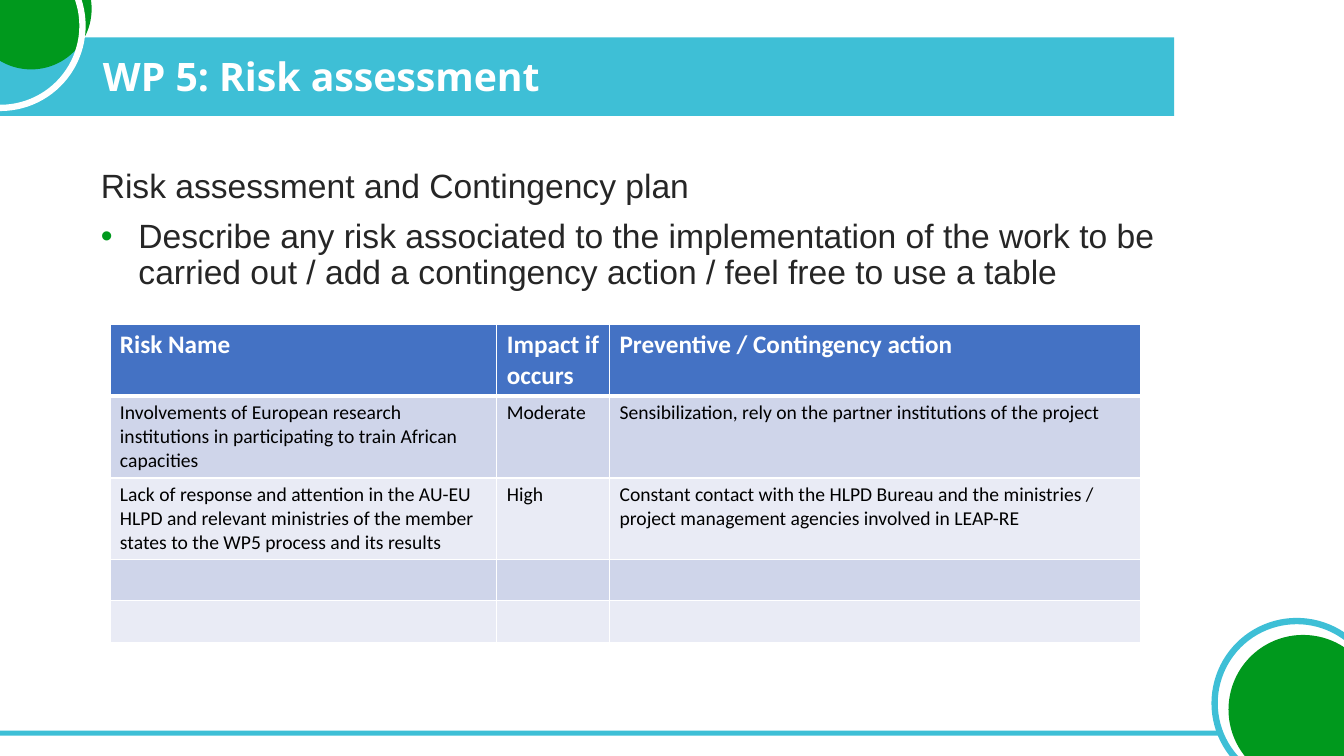
import dataclasses

import lxml.etree
import pptx
import pptx.dml.color
import pptx.enum.shapes
import pptx.enum.text
import pptx.oxml.ns
import pptx.util

Cm, Pt = pptx.util.Cm, pptx.util.Pt
qn = pptx.oxml.ns.qn
Shape = pptx.enum.shapes.MSO_SHAPE


@dataclasses.dataclass(frozen=True)
class Theme:
    teal: str = "3EBFD6"
    green: str = "00991D"
    white: str = "FFFFFF"
    body_text: str = "262626"
    cell_text: str = "000000"
    header_fill: str = "4472C4"
    bands: tuple = ("CFD5EA", "E9EBF5")
    title_size: int = 28
    body_size: int = 24
    header_size: int = 18
    cell_size: int = 14
    ring_width: float = 4.5


THEME = Theme()

RISKS = [
    ("Risk Name", "Impact if occurs", "Preventive / Contingency action"),
    ("Involvements of European research institutions in participating to train African capacities",
     "Moderate",
     "Sensibilization, rely on the partner institutions of the project"),
    ("Lack of response and attention in the AU-EU HLPD and relevant ministries of the member "
     "states to the WP5 process and its results",
     "High",
     "Constant contact with the HLPD Bureau and the ministries / project management agencies "
     "involved in LEAP-RE"),
    ("", "", ""),
    ("", "", ""),
]
COLUMN_WIDTHS = (9.75, 2.84, 13.39)
ROW_HEIGHT = 1.04


def rgb(colour):
    return pptx.dml.color.RGBColor.from_string(colour)


def style_runs(paragraph, font, size, colour, bold=False):
    for run in paragraph.runs:
        run.font.name = font
        run.font.size = Pt(size)
        run.font.bold = bold
        run.font.color.rgb = rgb(colour)


def add_decoration(slide, kind, left, top, width, height, fill=None, outline=None):
    decoration = slide.shapes.add_shape(kind, Cm(left), Cm(top), Cm(width), Cm(height))
    decoration.shadow.inherit = False
    if fill:
        decoration.fill.solid()
        decoration.fill.fore_color.rgb = rgb(fill)
    else:
        decoration.fill.background()
    if outline:
        decoration.line.color.rgb = rgb(outline)
        decoration.line.width = Pt(THEME.ring_width)
    else:
        decoration.line.fill.background()


def add_circle(slide, left, top, diameter, **colours):
    add_decoration(slide, Shape.OVAL, left, top, diameter, diameter, **colours)


def set_title(slide, text):
    title = slide.shapes.title
    title.left, title.top, title.width, title.height = Cm(2.34), Cm(1.27), Cm(26.87), Cm(1.42)
    title.text_frame.text = text
    title.text_frame.vertical_anchor = pptx.enum.text.MSO_ANCHOR.MIDDLE
    heading = title.text_frame.paragraphs[0]
    heading.alignment = pptx.enum.text.PP_ALIGN.LEFT
    heading.line_spacing = 0.9
    style_runs(heading, "Open Sans", THEME.title_size, THEME.white, bold=True)
    # Bring the title in front of the bar
    slide.shapes._spTree.append(title._element)


def add_bullet(paragraph, colour):
    properties = paragraph._p.get_or_add_pPr()
    properties.set("marL", str(Cm(0.95)))
    properties.set("indent", str(-Cm(0.95)))
    bullet_colour = lxml.etree.SubElement(properties, qn("a:buClr"))
    lxml.etree.SubElement(bullet_colour, qn("a:srgbClr"), val=colour)
    lxml.etree.SubElement(properties, qn("a:buFont"), typeface="Arial")
    lxml.etree.SubElement(properties, qn("a:buChar"), char="•")


def add_body(slide, intro, instruction):
    body = slide.shapes.add_textbox(Cm(2.29), Cm(4.14), Cm(28.68), Cm(12.09)).text_frame
    body.word_wrap = True
    body.text = intro
    body.add_paragraph().text = instruction
    for paragraph in body.paragraphs:
        paragraph.line_spacing = 0.9
        paragraph.space_before = Pt(10)
        style_runs(paragraph, "Arial", THEME.body_size, THEME.body_text)
    add_bullet(body.paragraphs[1], THEME.green)


def set_borders(cell, top, bottom):
    properties = cell._tc.get_or_add_tcPr()
    for side, width in (("L", 1), ("R", 1), ("T", top), ("B", bottom)):
        border = lxml.etree.SubElement(properties, qn(f"a:ln{side}"), w=str(Pt(width)))
        border_fill = lxml.etree.SubElement(border, qn("a:solidFill"))
        lxml.etree.SubElement(border_fill, qn("a:srgbClr"), val=THEME.white)


def add_risk_table(slide, rows):
    table = slide.shapes.add_table(
        len(rows), len(COLUMN_WIDTHS), Cm(2.77), Cm(8.18),
        Cm(sum(COLUMN_WIDTHS)), Cm(ROW_HEIGHT * len(rows))).table
    for column, width in zip(table.columns, COLUMN_WIDTHS):
        column.width = Cm(width)
    for row_number, texts in enumerate(rows):
        is_header = row_number == 0
        table.rows[row_number].height = Cm(ROW_HEIGHT)
        for column_number, text in enumerate(texts):
            cell = table.cell(row_number, column_number)
            set_borders(cell, top=3 if row_number == 1 else 1, bottom=3 if is_header else 1)
            cell.fill.solid()
            cell.fill.fore_color.rgb = rgb(
                THEME.header_fill if is_header else THEME.bands[(row_number - 1) % 2])
            if text:
                cell.text_frame.text = text
                style_runs(cell.text_frame.paragraphs[0], "Calibri",
                           THEME.header_size if is_header else THEME.cell_size,
                           THEME.white if is_header else THEME.cell_text, bold=is_header)


def main():
    presentation = pptx.Presentation()
    presentation.slide_width, presentation.slide_height = Cm(33.87), Cm(19.05)
    slide = presentation.slides.add_slide(presentation.slide_layouts[5])

    # Title bar and footer line
    add_decoration(slide, Shape.RECTANGLE, 0, 0.94, 29.59, 1.98, fill=THEME.teal)
    add_decoration(slide, Shape.RECTANGLE, 0, 18.41, 30.78, 0.13, fill=THEME.teal)

    # Corner circles
    add_circle(slide, 30.61, 15.65, 4.14, outline=THEME.teal)
    add_circle(slide, 30.96, 16, 3.76, fill=THEME.green)
    add_circle(slide, -0.74, -1.3, 3.05, fill=THEME.green)
    add_circle(slide, -2.06, -1.42, 4.14, outline=THEME.white)

    # Content
    add_body(slide, "Risk assessment and Contingency plan",
             "Describe any risk associated to the implementation of the work to be carried out "
             "/ add a contingency action / feel free to use a table")
    set_title(slide, "WP 5: Risk assessment")
    add_risk_table(slide, RISKS)

    presentation.save("out.pptx")


if __name__ == "__main__":
    main()
